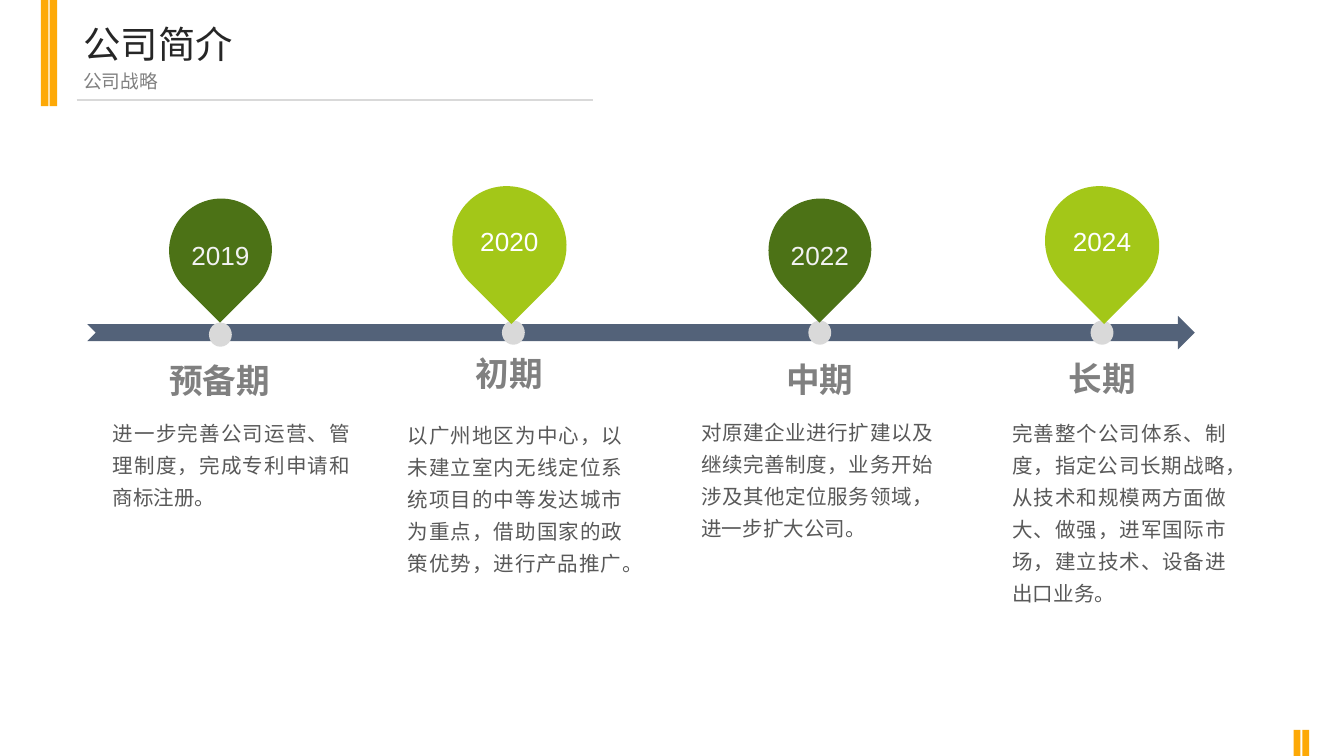
from dataclasses import dataclass

from lxml.etree import SubElement
from pptx import Presentation
from pptx.dml.color import RGBColor
from pptx.enum.shapes import MSO_CONNECTOR, MSO_SHAPE
from pptx.enum.text import MSO_ANCHOR, MSO_AUTO_SIZE, PP_ALIGN
from pptx.oxml.ns import qn
from pptx.shapes.autoshape import Shape
from pptx.slide import Slide
from pptx.util import Emu, Pt

SCALE = 4572  # 200 px to the inch
HAN = "Noto Sans CJK SC"


@dataclass
class Box:
    x: int
    y: int
    w: int
    h: int

    def emu(self) -> list[Emu]:
        return [Emu(n * SCALE) for n in (self.x, self.y, self.w, self.h)]


@dataclass
class Style:
    size: int
    font: str
    color: str
    bold: bool = False
    align: PP_ALIGN = PP_ALIGN.LEFT
    space: float = 1.0
    wrap: bool = True


@dataclass
class Pin:
    """Marker look; the year box is placed relative to the drop."""
    y: int
    w: int
    h: int
    fill: str
    year: Box
    style: Style


@dataclass
class Phase:
    year: str
    pin: Pin
    x: int
    dot: Box
    name: str
    head: Box
    text: str
    note: Box


TITLE = Style(20, "Roboto Condensed", "262626")
SUB = Style(10, "Arial", "808080")
HEAD = Style(18, HAN, "808080", bold=True, align=PP_ALIGN.CENTER, wrap=False)
NOTE = Style(11, HAN, "595959", align=PP_ALIGN.JUSTIFY, space=1.3)
DARK = Pin(296, 154, 152, "4C7216", Box(8, 41, 138, 76),
           Style(14, "Arial", "F2F2F2", align=PP_ALIGN.CENTER, space=1.2))
LIGHT = Pin(275, 166, 174, "A3C718", Box(12, 51, 142, 68),
            Style(14, "Arial", "FFFFFF", align=PP_ALIGN.CENTER))

BARS = [Box(61, 0, 11, 158), Box(74, 0, 11, 158),
        Box(1925, 1086, 10, 39), Box(1938, 1086, 10, 39)]

PHASES = [
    Phase("2019", DARK, 251, Box(311, 480, 34, 36),
          "预备期", Box(231, 526, 192, 80),
          "进一步完善公司运营、管理制度，完成专利申请和商标注册。",
          Box(148, 606, 393, 164)),
    Phase("2020", LIGHT, 675, Box(747, 477, 34, 36),
          "初期", Box(687, 516, 142, 80),
          "以广州地区为中心，以未建立室内无线定位系统项目的中等发达城市为重点，"
          "借助国家的政策优势，进行产品推广。",
          Box(587, 608, 359, 256)),
    Phase("2022", DARK, 1143, Box(1203, 477, 34, 36),
          "中期", Box(1149, 524, 142, 80),
          "对原建企业进行扩建以及继续完善制度，业务开始涉及其他定位服务领域，"
          "进一步扩大公司。",
          Box(1024, 604, 384, 208)),
    Phase("2024", LIGHT, 1557, Box(1623, 477, 34, 36),
          "长期", Box(1569, 523, 142, 80),
          "完善整个公司体系、制度，指定公司长期战略，从技术和规模两方面做大、做强，"
          "进军国际市场，建立技术、设备进出口业务。",
          Box(1487, 606, 357, 308)),
]


def rgb(code: str) -> RGBColor:
    return RGBColor.from_string(code)


def write(shape: Shape, text: str, style: Style) -> None:
    frame = shape.text_frame
    frame.word_wrap = style.wrap
    frame.auto_size = MSO_AUTO_SIZE.NONE
    frame.vertical_anchor = MSO_ANCHOR.TOP
    para = frame.paragraphs[0]
    para.alignment = style.align
    para.line_spacing = style.space
    para.space_before = Pt(0)
    run = para.add_run()
    run.text = text
    font = run.font
    font.size, font.bold, font.name = Pt(style.size), style.bold, style.font
    font.color.rgb = rgb(style.color)
    SubElement(run._r.get_or_add_rPr(), qn("a:ea"), typeface=HAN)


def label(slide: Slide, box: Box, text: str, style: Style) -> None:
    write(slide.shapes.add_textbox(*box.emu()), text, style)


def fill(slide: Slide, kind: MSO_SHAPE, box: Box, color: str) -> Shape:
    shape = slide.shapes.add_shape(kind, *box.emu())
    shape.shadow.inherit = False
    shape.fill.solid()
    shape.fill.fore_color.rgb = rgb(color)
    shape.line.fill.background()
    return shape


def place(shape: Shape, box: Box, text: str, style: Style) -> None:
    """Move a placeholder and fill it with unbulleted text."""
    shape.left, shape.top, shape.width, shape.height = box.emu()
    write(shape, text, style)
    props = shape.text_frame.paragraphs[0]._p.get_or_add_pPr()
    props.set("marL", "0")
    props.set("indent", "0")
    SubElement(props, qn("a:buNone"))


def rule(slide: Slide, x: int, y: int, end: int) -> None:
    spots = [Emu(n * SCALE) for n in (x, y, end, y)]
    line = slide.shapes.add_connector(MSO_CONNECTOR.STRAIGHT, *spots)
    line.line.color.rgb = rgb("D9D9D9")
    line.line.width = Pt(0.75)
    SubElement(line._element.spPr, qn("a:effectLst"))


def mark(slide: Slide, phase: Phase) -> None:
    pin, year = phase.pin, phase.pin.year
    fill(slide, MSO_SHAPE.OVAL, phase.dot, "D9D9D9")
    drop = Box(phase.x, pin.y, pin.w, pin.h)
    fill(slide, MSO_SHAPE.TEAR, drop, pin.fill).rotation = 135
    spot = Box(phase.x + year.x, pin.y + year.y, year.w, year.h)
    label(slide, spot, phase.year, pin.style)
    label(slide, phase.head, phase.name, HEAD)
    label(slide, phase.note, phase.text, NOTE)


def main() -> None:
    deck = Presentation()
    deck.slide_width, deck.slide_height = Emu(2000 * SCALE), Emu(1125 * SCALE)
    slide = deck.slides.add_slide(deck.slide_layouts[1])
    for bar in BARS:
        fill(slide, MSO_SHAPE.RECTANGLE, bar, "FDA907")
    rule(slide, 114, 149, 882)
    title, body = slide.placeholders
    place(title, Box(104, 22, 846, 88), "公司简介", TITLE)
    place(body, Box(104, 94, 846, 54), "公司战略", SUB)
    fill(slide, MSO_SHAPE.NOTCHED_RIGHT_ARROW, Box(130, 470, 1648, 50), "536279")
    for phase in PHASES:
        mark(slide, phase)
    deck.save("out.pptx")


if __name__ == "__main__":
    main()
